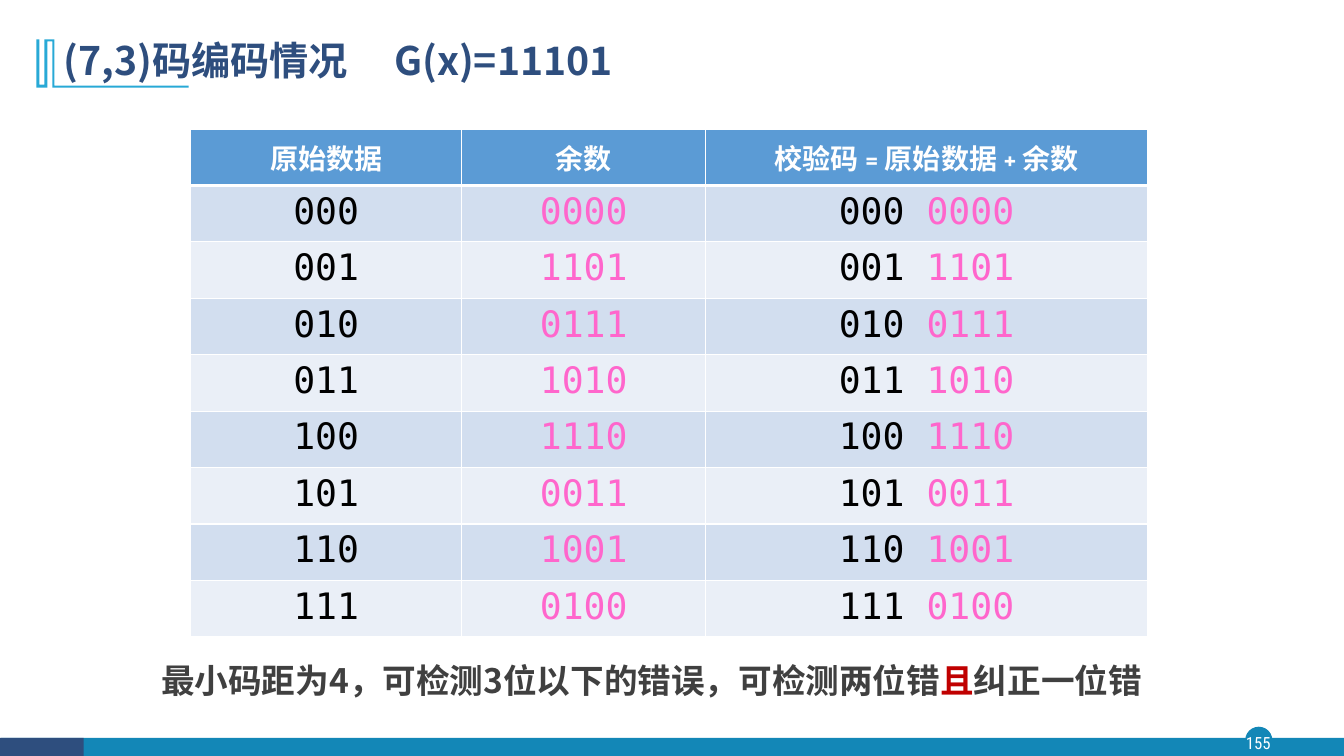
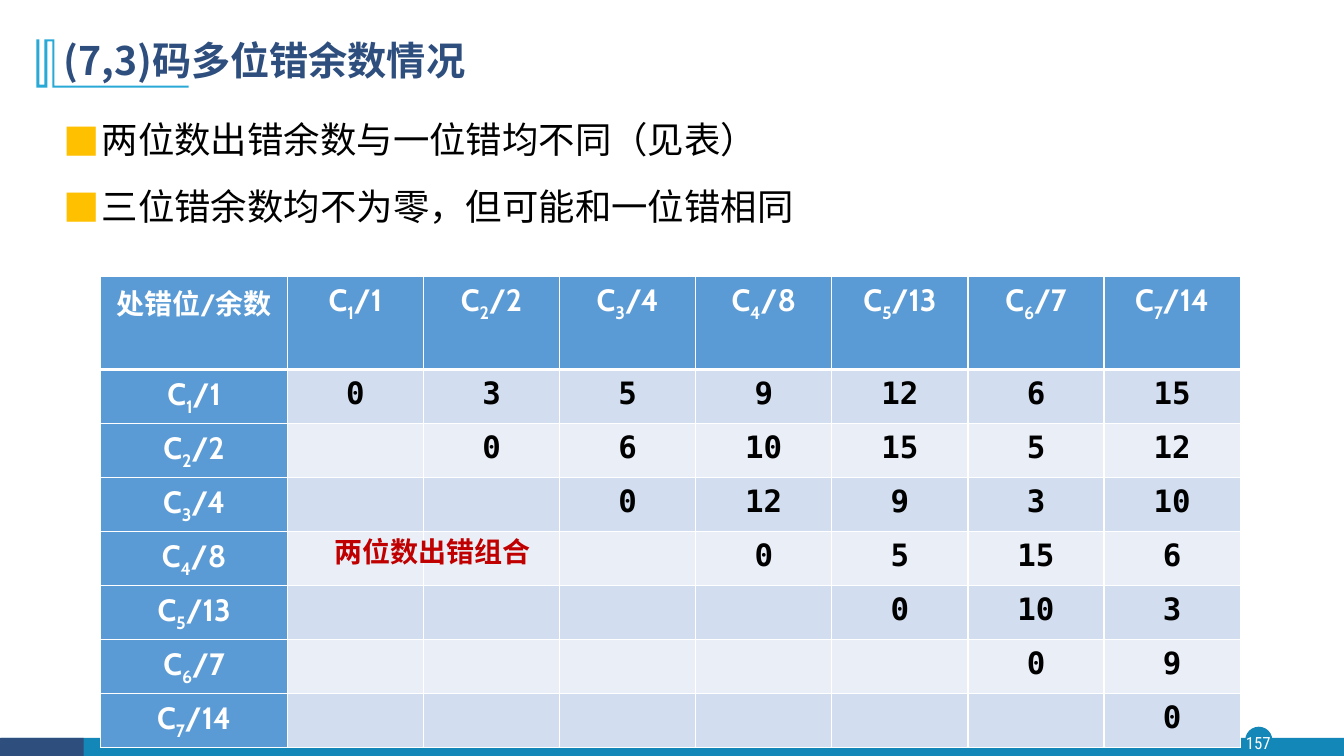
from lxml import etree
from pptx import Presentation
from pptx.dml.color import RGBColor
from pptx.enum.shapes import MSO_SHAPE
from pptx.enum.text import MSO_ANCHOR, MSO_AUTO_SIZE, PP_ALIGN
from pptx.oxml.ns import qn
from pptx.util import Inches, Pt

RECT, OVAL = MSO_SHAPE.RECTANGLE, MSO_SHAPE.OVAL
TOP, MIDDLE = MSO_ANCHOR.TOP, MSO_ANCHOR.MIDDLE
FIXED, GROW = MSO_AUTO_SIZE.NONE, MSO_AUTO_SIZE.SHAPE_TO_FIT_TEXT
LEFT, CENTER, JUSTIFY = PP_ALIGN.LEFT, PP_ALIGN.CENTER, PP_ALIGN.JUSTIFY

COLORS = {
    "navy": "2E4E7E", "teal": "1387B7", "sky": "28A9D6", "white": "FFFFFF",
    "black": "000000", "gray": "404040", "red": "C00000", "pink": "FF66CC",
    "amber": "FFC000", "header": "5B9BD5", "odd": "D2DEEF", "even": "EAEFF7",
}
CJK, LATIN = "Noto Sans CJK SC", "Cabin"
MONO, CONDENSED = "DejaVu Sans Mono", "Roboto Condensed"

# Text styles
TITLE = dict(name=CJK, size=28, color="navy", bold=True)
PAGE = dict(name=CONDENSED, size=12, color="white")
BULLET = dict(name=CJK, size=26, color="black")
CAPTION = dict(name=CJK, size=24, color="gray", bold=True)
HEAD = dict(name=LATIN, size=20, color="white", bold=True)
LABEL = dict(HEAD, size=22)
SUBSCRIPT = dict(LABEL, baseline=-25000)
NOTE = dict(HEAD, color="red")
DATA = dict(name=MONO, size=26, color="black", bold=False)
CHECK = dict(DATA, color="pink")
SYNDROME = dict(name=MONO, size=22, color="black", bold=True)

# Title ornament outline, in hundredths of an inch
ORNAMENT = [(54, 39), (54, 85), (187, 85), (187, 87), (52, 87), (52, 41),
            (47, 41), (47, 87), (36, 87), (36, 39), (39, 39), (39, 84),
            (44, 84), (44, 39)]

# Slide contents
REMAINDERS = ["0000", "1101", "0111", "1010", "1110", "0011", "1001", "0100"]
BIT_SYNDROMES = [1, 2, 4, 8, 13, 7, 14]


def rgb(color):
    return RGBColor.from_string(COLORS[color])


class Deck:
    def __init__(self):
        self.prs = Presentation()
        self.prs.slide_width, self.prs.slide_height = Inches(13.33), Inches(7.5)
        self.slide = None

    def new_slide(self, title, page):
        self.slide = self.prs.slides.add_slide(self.prs.slide_layouts[5])
        self.footer(page)
        self.ornament()
        self.title(title)

    def footer(self, page):
        self.block(OVAL, (12.35, 7.21, 0.27, 0.27), "teal")
        self.block(RECT, (0.01, 7.32, 13.32, 0.19), "teal")
        self.block(RECT, (0, 7.32, 0.83, 0.19), "navy")
        self.text((12.32, 7.21, 0.32, 0.31), [[(page, PAGE)]], inset=(0, 0),
                  anchor=MIDDLE, alignment=CENTER)

    def title(self, text):
        holder = self.slide.shapes.title
        holder.left, holder.top, holder.width, holder.height = map(
            Inches, (0.53, 0.28, 11.5, 0.68))
        frame = holder.text_frame
        frame.auto_size, frame.vertical_anchor = FIXED, MIDDLE
        para = frame.paragraphs[0]
        tabs = etree.SubElement(para._p.get_or_add_pPr(), qn("a:tabLst"))
        etree.SubElement(tabs, qn("a:tab"), pos=str(Inches(3.28)), algn="l")
        self.paragraph(para, [(text, TITLE)], alignment=LEFT, line_spacing=0.9)

    def paint(self, shape, color):
        shape.shadow.inherit = False
        shape.fill.solid()
        shape.fill.fore_color.rgb = rgb(color)
        shape.line.fill.background()

    def block(self, kind, box, color):
        self.paint(self.slide.shapes.add_shape(kind, *map(Inches, box)), color)

    def ornament(self):
        outline = self.slide.shapes.build_freeform(*ORNAMENT[0], scale=Inches(0.01))
        outline.add_line_segments(ORNAMENT[1:], close=True)
        self.paint(outline.convert_to_shape(), "sky")

    def paragraph(self, para, runs, **layout):
        for attribute, value in layout.items():
            setattr(para, attribute, value)
        for text, style in runs:
            run = para.add_run()
            run.text = text
            values = dict(style)
            run.font.color.rgb = rgb(values.pop("color"))
            baseline = values.pop("baseline", None)
            values["size"] = Pt(values["size"])
            for attribute, value in values.items():
                setattr(run.font, attribute, value)
            props = run._r.get_or_add_rPr()
            etree.SubElement(props, qn("a:ea"), typeface=CJK)
            if baseline:
                props.set("baseline", str(baseline))

    def text(self, box, lines, inset=(0.1, 0.05), anchor=TOP, wrap=True,
             size_mode=FIXED, bullet=None, gap=0, **layout):
        frame = self.slide.shapes.add_textbox(*map(Inches, box)).text_frame
        frame.word_wrap, frame.auto_size = wrap, size_mode
        frame.vertical_anchor = anchor
        frame.margin_left = frame.margin_right = Inches(inset[0])
        frame.margin_top = frame.margin_bottom = Inches(inset[1])
        for index, runs in enumerate(lines):
            para = frame.add_paragraph() if index else frame.paragraphs[0]
            if bullet:
                self.bullet(para, bullet)
            if index and gap:
                para.space_before = Pt(gap)
            self.paragraph(para, runs, **layout)

    def bullet(self, para, color):
        props = para._p.get_or_add_pPr()
        props.set("marL", str(Inches(0.38)))
        props.set("indent", str(-Inches(0.38)))
        tint = etree.SubElement(props, qn("a:buClr"))
        etree.SubElement(tint, qn("a:srgbClr"), val=COLORS[color])
        etree.SubElement(props, qn("a:buFont"), typeface=CJK)
        etree.SubElement(props, qn("a:buChar"), char="■")

    def table(self, origin, widths, row_height, rows, inset,
              head_anchor=TOP, label_column=False):
        box = (*origin, sum(widths), row_height * len(rows))
        grid = self.slide.shapes.add_table(
            len(rows), len(widths), *map(Inches, box)).table
        for column, width in zip(grid.columns, widths):
            column.width = Inches(width)
        for r, row in enumerate(rows):
            grid.rows[r].height = Inches(row_height)
            for c, runs in enumerate(row):
                cell = grid.cell(r, c)
                is_head = r == 0 or (label_column and c == 0)
                cell.margin_left = cell.margin_right = Inches(inset[0])
                cell.margin_top = cell.margin_bottom = Inches(inset[1])
                cell.vertical_anchor = TOP if r else head_anchor
                self.borders(cell, top=3 if r == 1 else 1, bottom=1 if r else 3)
                cell.fill.solid()
                cell.fill.fore_color.rgb = rgb(
                    "header" if is_head else "odd" if r % 2 else "even")
                self.paragraph(cell.text_frame.paragraphs[0], runs,
                               alignment=CENTER)

    def borders(self, cell, top, bottom):
        props = cell._tc.get_or_add_tcPr()
        for side, width in (("L", 1), ("R", 1), ("T", top), ("B", bottom)):
            line = etree.SubElement(props, qn("a:ln" + side), w=str(Pt(width)))
            fill = etree.SubElement(line, qn("a:solidFill"))
            etree.SubElement(fill, qn("a:srgbClr"), val=COLORS["white"])


def encoding_slide(deck):
    deck.new_slide("(7,3)码编码情况\tG(x)=11101", "155")
    headings = ["原始数据", "余数", "校验码 = 原始数据 + 余数"]
    rows = [[[(heading, HEAD)] for heading in headings]]
    for number, remainder in enumerate(REMAINDERS):
        data = f"{number:03b}"
        rows.append([[(data, DATA)], [(remainder, CHECK)],
                     [(data + " ", DATA), (remainder, CHECK)]])
    deck.table((1.89, 1.28), [2.69, 2.42, 4.38], 0.56, rows, (0.11, 0.05),
               head_anchor=MIDDLE)
    deck.text((1.5, 6.5, 10.2, 0.5), [[
        ("最小码距为4，可检测3位以下的错误，可检测两位错", CAPTION),
        ("且", dict(CAPTION, color="red")),
        ("纠正一位错", CAPTION)]], size_mode=GROW)


def multi_error_slide(deck):
    deck.new_slide("(7,3)码多位错余数情况", "157")
    points = ["两位数出错余数与一位错均不同（见表）",
              "三位错余数均不为零，但可能和一位错相同"]
    deck.text((0.53, 1.03, 11.5, 1.44), [[(point, BULLET)] for point in points],
              bullet="amber", gap=10, alignment=JUSTIFY, line_spacing=1.2)

    # The remainder of a two-bit error is the XOR of its one-bit remainders
    labels = [[("C", LABEL), (str(bit), SUBSCRIPT), (f"/{syndrome}", LABEL)]
              for bit, syndrome in enumerate(BIT_SYNDROMES, 1)]
    rows = [[[("处错位/余数", HEAD)], *labels]]
    for r, first in enumerate(BIT_SYNDROMES):
        pairs = [[(str(first ^ second), SYNDROME)] if c >= r else []
                 for c, second in enumerate(BIT_SYNDROMES)]
        rows.append([labels[r], *pairs])
    deck.table((1, 2.74), [1.85] + [1.35] * 7, 0.5, rows, (0.12, 0.06),
               label_column=True)
    deck.text((3.22, 5.25, 2.17, 0.44), [[("两位数出错组合", NOTE)]],
              wrap=False, size_mode=GROW)


def main():
    deck = Deck()
    encoding_slide(deck)
    multi_error_slide(deck)
    deck.prs.save("out.pptx")


if __name__ == "__main__":
    main()
